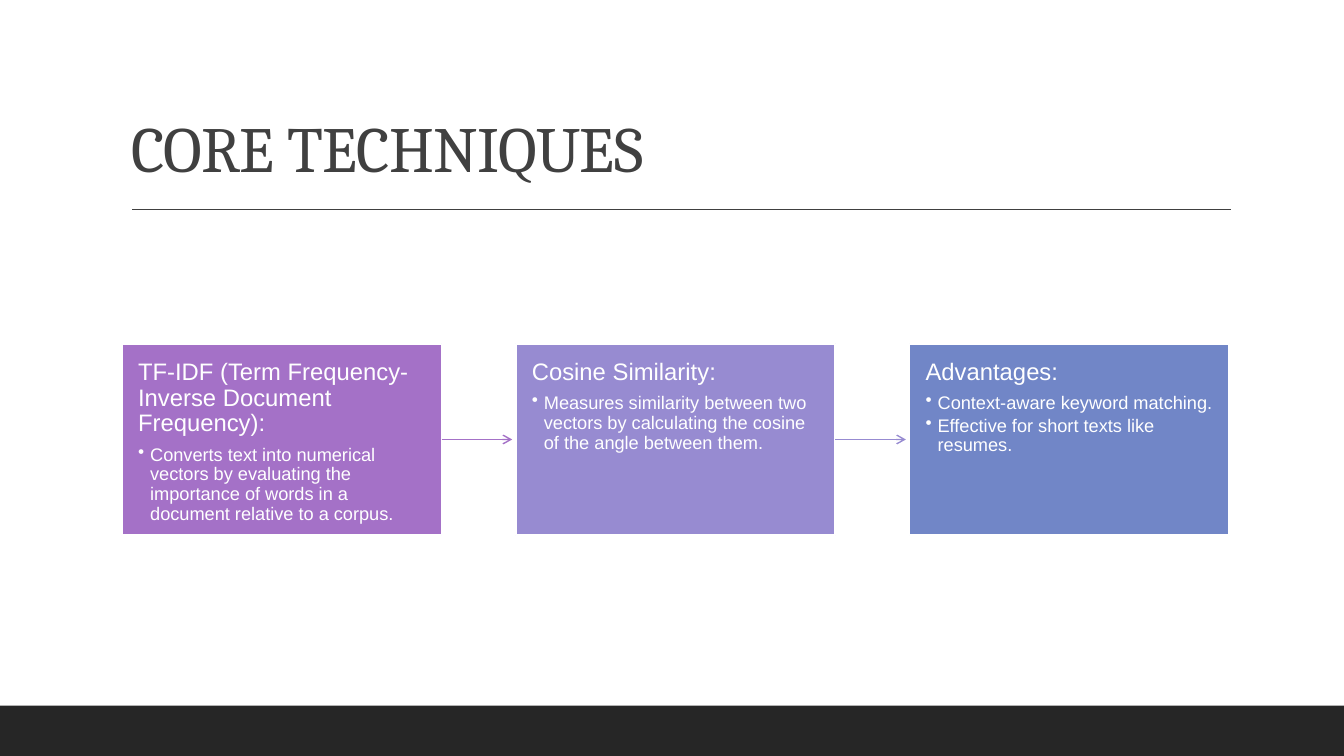
from lxml.etree import SubElement
from pptx import Presentation
from pptx.dml.color import RGBColor
from pptx.enum.shapes import MSO_CONNECTOR as CONNECTOR, MSO_SHAPE as SHAPE
from pptx.enum.text import MSO_ANCHOR as ANCHOR, PP_ALIGN as ALIGN
from pptx.oxml.ns import qn
from pptx.util import Inches, Pt


def paint(color_format, value):
    color_format.rgb = RGBColor.from_string(value)


def add_line(slide, start, end, y, color):
    line = slide.shapes.add_connector(
        CONNECTOR.STRAIGHT, Inches(start), Inches(y), Inches(end), Inches(y))
    paint(line.line.color, color)
    line.line.width = Pt(1)
    SubElement(line._element.spPr, qn("a:effectLst"))
    return line


presentation = Presentation()
presentation.slide_width = Inches(13.33)
presentation.slide_height = Inches(7.5)
slide = presentation.slides.add_slide(presentation.slide_layouts[5])

title = slide.shapes.title
title.left, title.top = Inches(1.2), Inches(0.31)
title.width, title.height = Inches(11), Inches(1.59)
title.text_frame.word_wrap = True
title.text_frame.vertical_anchor = ANCHOR.BOTTOM
paragraph = title.text_frame.paragraphs[0]
paragraph.alignment = ALIGN.LEFT
paragraph.line_spacing = 0.9
run = paragraph.add_run()
run.text = "CORE TECHNIQUES"
run.font.name = "Cambria"
run.font.size = Pt(46)
paint(run.font.color, "404040")
run.font._element.set("spc", "-50")

add_line(slide, 1.31, 12.21, 2.08, "404040")

footer = slide.shapes.add_shape(
    SHAPE.RECTANGLE, 0, Inches(7), presentation.slide_width, Inches(0.5))
footer.shadow.inherit = False
footer.fill.solid()
paint(footer.fill.fore_color, "262626")
footer.line.fill.background()

techniques = [
    ("A471C7", "TF-IDF (Term Frequency-Inverse Document Frequency):",
     ["Converts text into numerical vectors by evaluating the importance "
      "of words in a document relative to a corpus."]),
    ("978BD1", "Cosine Similarity:",
     ["Measures similarity between two vectors by calculating the cosine "
      "of the angle between them."]),
    ("7186C7", "Advantages:",
     ["Context-aware keyword matching.",
      "Effective for short texts like resumes."]),
]
card_left, card_top, card_width, card_height = 1.21, 3.41, 3.17, 1.9
card_step, arrow_length = 3.905, 0.7

for index, (color, heading, points) in enumerate(techniques):
    left = card_left + index * card_step
    card = slide.shapes.add_shape(
        SHAPE.RECTANGLE, Inches(left), Inches(card_top),
        Inches(card_width), Inches(card_height))
    card.shadow.inherit = False
    card.fill.solid()
    paint(card.fill.fore_color, color)
    paint(card.line.color, "FFFFFF")
    card.line.width = Pt(1.25)

    frame = card.text_frame
    frame.word_wrap = True
    frame.vertical_anchor = ANCHOR.TOP
    frame.margin_left = frame.margin_right = Inches(0.16)
    frame.margin_top = frame.margin_bottom = Inches(0.16)
    for row, text in enumerate([heading, *points]):
        paragraph = frame.add_paragraph() if row else frame.paragraphs[0]
        paragraph.alignment = ALIGN.LEFT
        paragraph.line_spacing = 0.9
        paragraph.space_after = Pt(2 if row else 6)
        if row:
            paragraph.level = 1
            properties = paragraph._element.get_or_add_pPr()
            properties.set("marL", str(Inches(0.12)))
            properties.set("indent", str(Inches(-0.12)))
            SubElement(properties, qn("a:buChar"), char="•")
        run = paragraph.add_run()
        run.text = text
        run.font.name = "Arial"
        run.font.size = Pt(13 if row else 17)
        paint(run.font.color, "FFFFFF")

    if index < len(techniques) - 1:
        right = left + card_width
        arrow = add_line(slide, right, right + arrow_length,
                         card_top + card_height / 2, color)
        arrow.begin_connect(card, 3)
        SubElement(arrow.line._get_or_add_ln(), qn("a:tailEnd"), type="arrow")

presentation.save("out.pptx")
